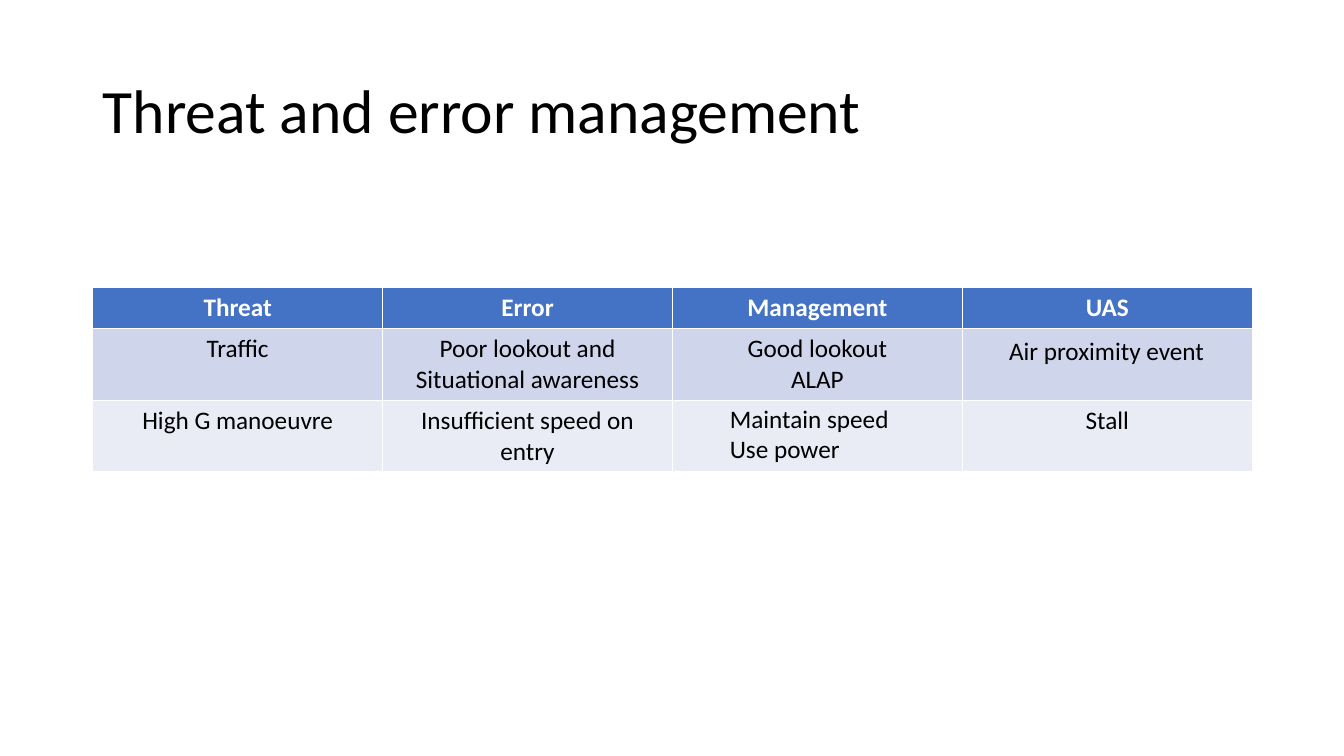
from pptx import Presentation
from pptx.dml.color import RGBColor
from pptx.enum.text import MSO_ANCHOR, MSO_AUTO_SIZE, PP_ALIGN
from pptx.util import Inches, Pt

LEFT, CENTER = PP_ALIGN.LEFT, PP_ALIGN.CENTER
MIDDLE = MSO_ANCHOR.MIDDLE
NO_AUTOFIT = MSO_AUTO_SIZE.NONE
FONT = "Calibri"
TITLE_ONLY = 5
COLORS = {
    "text": "000000",
    "header_text": "FFFFFF",
    "header": "4472C4",
    "odd_row": "CFD5EA",
    "even_row": "E9EBF5",
}


def write(frame, text, size, color, align, bold=False):
    frame.text = text
    for paragraph in frame.paragraphs:
        paragraph.alignment = align
        for run in paragraph.runs:
            run.font.name = FONT
            run.font.size = Pt(size)
            run.font.bold = bold
            run.font.color.rgb = RGBColor.from_string(COLORS[color])


prs = Presentation()
prs.slide_width, prs.slide_height = Inches(13.33), Inches(7.5)
slide = prs.slides.add_slide(prs.slide_layouts[TITLE_ONLY])

# Title
title = slide.shapes.title
title.left, title.top = Inches(0.92), Inches(0.4)
title.width, title.height = Inches(11.5), Inches(1.45)
write(title.text_frame, "Threat and error management", 44, "text", LEFT)
title.text_frame.auto_size = NO_AUTOFIT
title.text_frame.vertical_anchor = MIDDLE
title.text_frame.paragraphs[0].line_spacing = 0.9

# Threat table: height, fill, text colour and wording of each row
threat_rows = [
    (0.41, "header", "header_text", ["Threat", "Error", "Management", "UAS"]),
    (0.7, "odd_row", "text",
     ["Traffic", "Poor lookout and\nSituational awareness", "Good lookout\nALAP", ""]),
    (0.7, "even_row", "text",
     ["High G manoeuvre", "Insufficient speed on entry", "", "Stall"]),
]
threats = slide.shapes.add_table(
    len(threat_rows), 4, Inches(0.92), Inches(2.85), Inches(11.5), Inches(1.81)
).table
for row, (height, fill, color, texts) in enumerate(threat_rows):
    threats.rows[row].height = Inches(height)
    for cell, text in zip(threats.rows[row].cells, texts):
        cell.fill.solid()
        cell.fill.fore_color.rgb = RGBColor.from_string(COLORS[fill])
        write(cell.text_frame, text, 18, color, CENTER, bold=fill == "header")

# Answers laid over the two open cells
answers = [
    (9.91, 3.28, 2.16, 0.4, "Air proximity event"),
    (7.14, 3.95, 1.85, 0.71, "Maintain speed\nUse power"),
]
for left, top, width, height, text in answers:
    answer = slide.shapes.add_textbox(
        Inches(left), Inches(top), Inches(width), Inches(height)
    )
    answer.text_frame.word_wrap = True
    write(answer.text_frame, text, 18, "text", LEFT)

prs.save("out.pptx")
